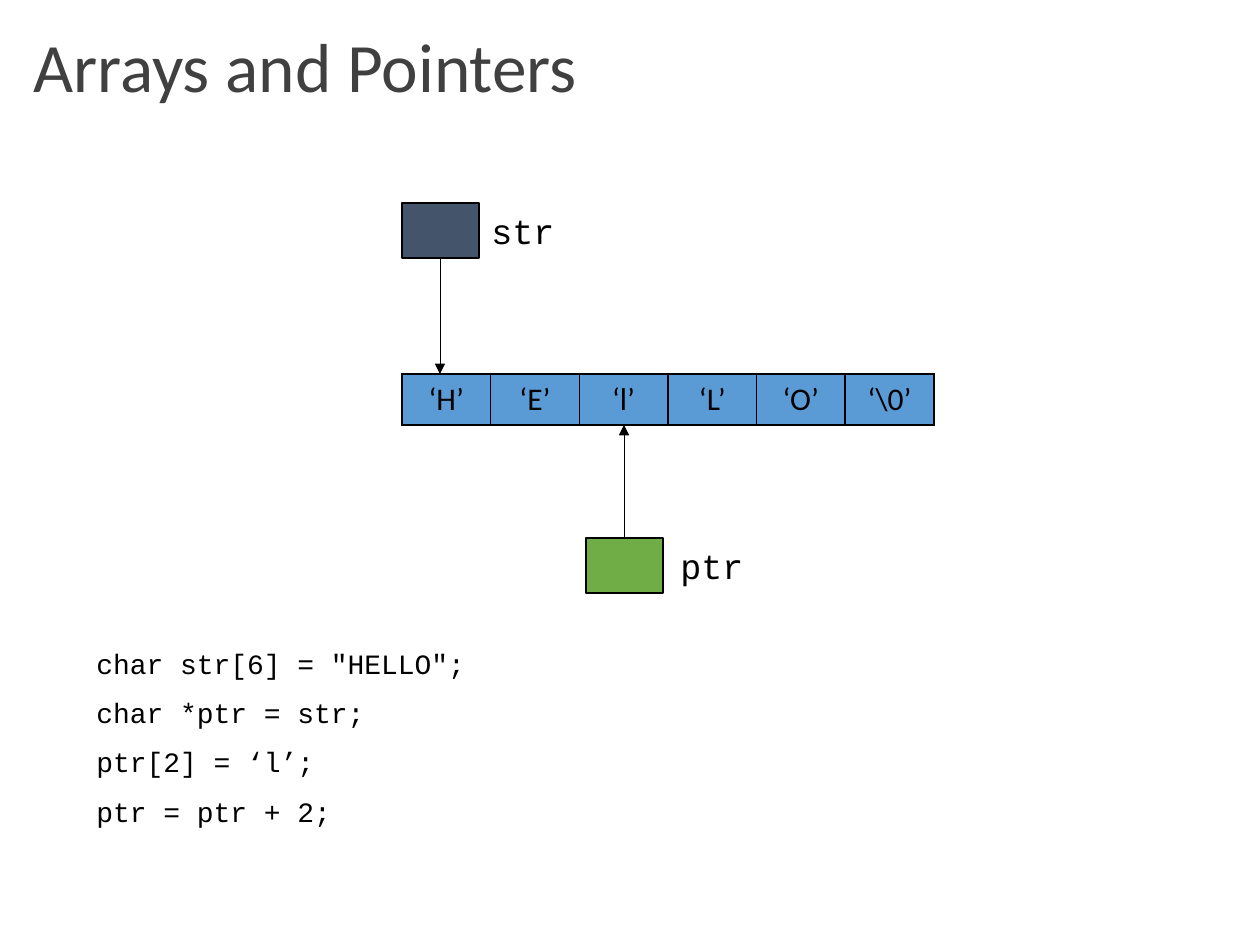
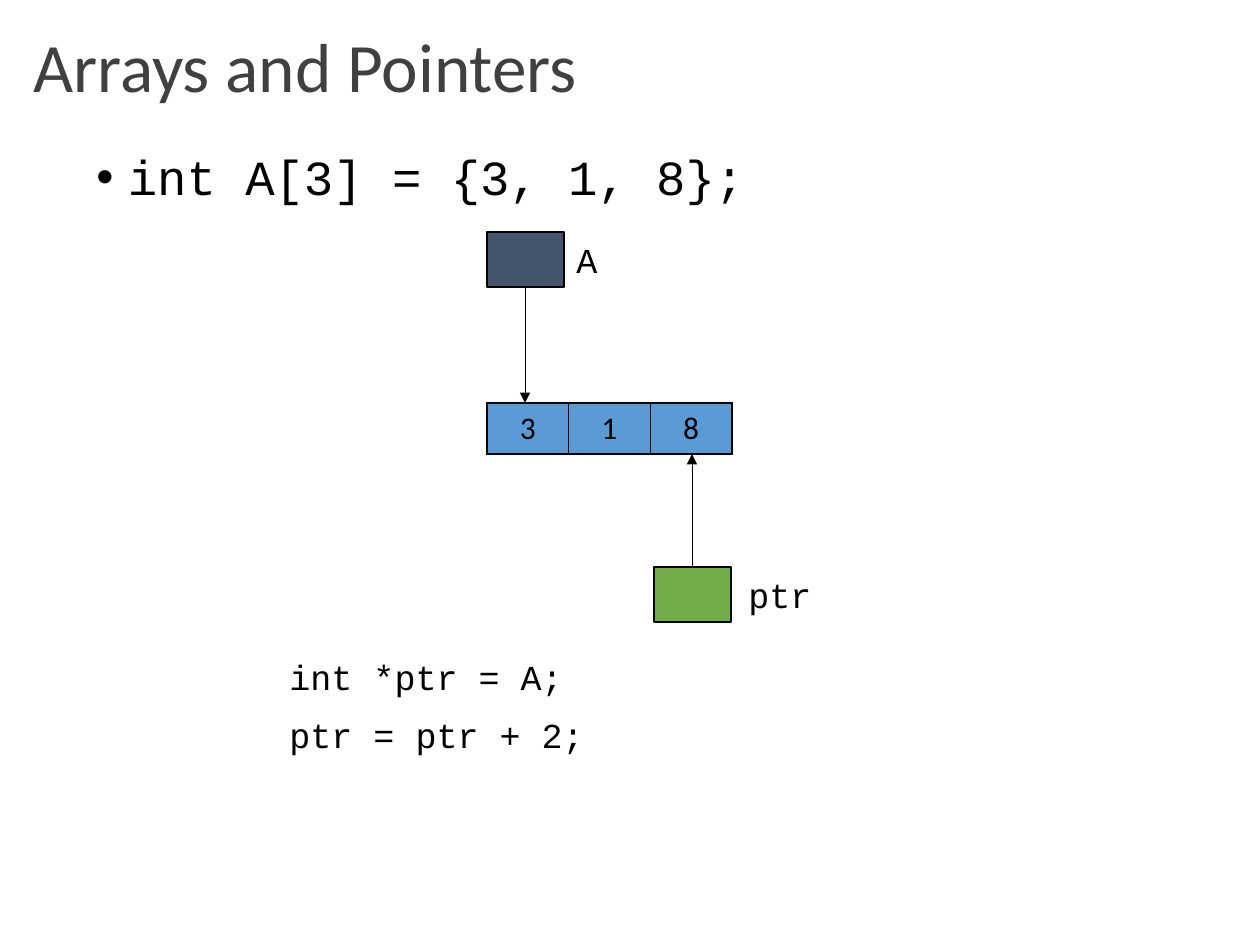
from dataclasses import dataclass

from lxml.etree import SubElement
from pptx import Presentation
from pptx.dml.color import RGBColor
from pptx.enum.shapes import MSO_CONNECTOR as Line, MSO_SHAPE as Shape
from pptx.enum.text import MSO_ANCHOR as Anchor, PP_ALIGN as Align
from pptx.oxml.ns import qn
from pptx.slide import Slide
from pptx.table import _Cell as Cell
from pptx.text.text import TextFrame, _Paragraph as Para
from pptx.util import Emu, Pt

BLACK = RGBColor(0x00, 0x00, 0x00)
GREY = RGBColor(0x40, 0x40, 0x40)
NAVY = RGBColor(0x44, 0x54, 0x6A)
GREEN = RGBColor(0x70, 0xAD, 0x47)
BLUE = RGBColor(0x5B, 0x9B, 0xD5)
SANS = "Calibri"
MONO = "Courier New"

BOX_W, BOX_H = 77, 55
ROW_Y, ROW_H = 171, 51
PTR_Y = 335


@dataclass(frozen=True)
class Code:
    left: int
    top: int
    width: int
    size: int
    lines: tuple[str, ...]


@dataclass(frozen=True)
class Page:
    name: str
    cells: tuple[str, ...]
    left: int
    top: int
    width: int
    ptr_x: int
    code: Code
    head: str = ""


PAGES = (
    Page("str", ("‘H’", "‘E’", "‘l’", "‘L’", "‘O’", "‘\\0’"),
         402, 203, 532, 586,
         Code(84, 640, 722, 16, (
             'char str[6] = "HELLO";',
             "char *ptr = str;",
             "ptr[2] = ‘l’;",
             "ptr = ptr + 2;",
         ))),
    Page("A", ("3", "1", "8"), 487, 232, 245, 654,
         Code(277, 649, 537, 20, ("int *ptr = A;", "ptr = ptr + 2;")),
         head="int A[3] = {3, 1, 8};"),
)


def px(num: int) -> Emu:
    return Emu(round(num * 914400 / 126))


def style(para: Para, face: str, size: float, color: RGBColor = BLACK) -> None:
    font = para.font
    font.name, font.size = face, Pt(size)
    font.color.rgb = color


def add_frame(slide: Slide, left: int, top: int, width: int,
              height: int) -> TextFrame:
    """Add a wrapping text box and return its frame."""
    box = slide.shapes.add_textbox(px(left), px(top), px(width), px(height))
    box.text_frame.word_wrap = True
    return box.text_frame


def add_title(slide: Slide) -> None:
    frame = add_frame(slide, 21, 23, 1212, 93)
    frame.vertical_anchor = Anchor.MIDDLE
    para = frame.paragraphs[0]
    para.text = "Arrays and Pointers"
    para.line_spacing = 0.9
    style(para, SANS, 39.6, GREY)


def add_head(slide: Slide, text: str) -> None:
    """Add the bulleted declaration under the title."""
    para = add_frame(slide, 84, 147, 722, 207).paragraphs[0]
    para.text = text
    para.line_spacing = 0.9
    props = para._p.get_or_add_pPr()
    props.set("marL", str(Pt(18)))
    props.set("indent", str(-Pt(18)))
    SubElement(props, qn("a:buFont")).set("typeface", "Arial")
    SubElement(props, qn("a:buChar")).set("char", "•")
    style(para, MONO, 28)


def add_code(slide: Slide, code: Code) -> None:
    frame = add_frame(slide, code.left, code.top, code.width, 207)
    for i, text in enumerate(code.lines):
        para = frame.add_paragraph() if i else frame.paragraphs[0]
        para.text = text
        if i:
            para.space_before = Pt(9)
        style(para, MONO, code.size)


def add_var(slide: Slide, name: str, left: int, top: int, fill: RGBColor,
            gap: int) -> None:
    """Add a variable's memory box with its name beside it."""
    box = slide.shapes.add_shape(Shape.RECTANGLE, px(left), px(top),
                                 px(BOX_W), px(BOX_H))
    box.shadow.inherit = False
    box.fill.solid()
    box.fill.fore_color.rgb = fill
    box.line.color.rgb = BLACK
    box.line.width = Pt(0.75)
    para = add_frame(slide, left + BOX_W + gap, top, 190, 54).paragraphs[0]
    para.text = name
    style(para, MONO, 20)


def add_arrow(slide: Slide, x: int, start: int, end: int) -> None:
    line = slide.shapes.add_connector(Line.STRAIGHT, px(x), px(start),
                                      px(x), px(end))
    line.line.color.rgb = BLACK
    line.line.width = Pt(0.5)
    SubElement(line.line._get_or_add_ln(), qn("a:tailEnd")).set(
        "type", "triangle")
    SubElement(line._element.spPr, qn("a:effectLst"))


def add_edges(cell: Cell) -> None:
    """Put a thin black border on all sides of a cell."""
    props = cell._tc.get_or_add_tcPr()
    for i, side in enumerate(("lnL", "lnR", "lnT", "lnB")):
        edge = props.makeelement(qn(f"a:{side}"), {"w": str(Pt(1))})
        fill = SubElement(edge, qn("a:solidFill"))
        SubElement(fill, qn("a:srgbClr")).set("val", str(BLACK))
        props.insert(i, edge)


def add_array(slide: Slide, page: Page) -> None:
    count = len(page.cells)
    table = slide.shapes.add_table(1, count, px(page.left),
                                   px(page.top + ROW_Y), px(page.width),
                                   px(ROW_H)).table
    table.first_row = table.horz_banding = False
    for cell, text in zip(table.iter_cells(), page.cells):
        cell.text = text
        cell.vertical_anchor = Anchor.MIDDLE
        cell.fill.solid()
        cell.fill.fore_color.rgb = BLUE
        add_edges(cell)
        para = cell.text_frame.paragraphs[0]
        para.alignment = Align.CENTER
        style(para, SANS, 18)


def add_page(slide: Slide, page: Page) -> None:
    add_title(slide)
    if page.head:
        add_head(slide, page.head)
    row, ptr = page.top + ROW_Y, page.top + PTR_Y
    mid = BOX_W // 2
    add_var(slide, page.name, page.left, page.top, NAVY, 0)
    add_var(slide, "ptr", page.ptr_x, ptr, GREEN, 5)
    add_array(slide, page)
    add_arrow(slide, page.left + mid, page.top + BOX_H, row)
    add_arrow(slide, page.ptr_x + mid, ptr, row + ROW_H)
    add_code(slide, page.code)


def main() -> None:
    deck = Presentation()
    deck.slide_width, deck.slide_height = px(1260), px(945)
    for page in PAGES:
        add_page(deck.slides.add_slide(deck.slide_layouts[6]), page)
    deck.save("out.pptx")


if __name__ == "__main__":
    main()
